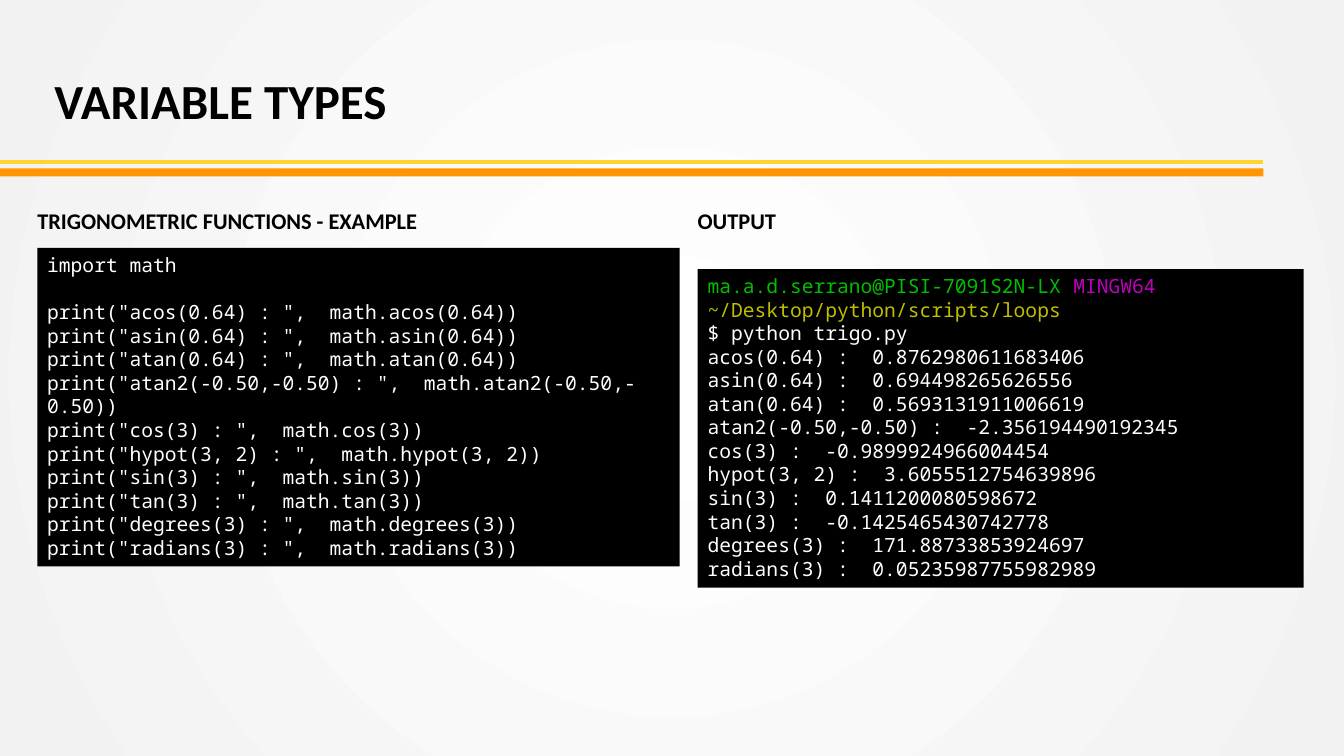
from lxml import etree
from pptx import Presentation
from pptx.dml.color import RGBColor
from pptx.enum.shapes import MSO_CONNECTOR as Connector, MSO_SHAPE as Shape
from pptx.enum.text import MSO_ANCHOR as Anchor, MSO_AUTO_SIZE as AutoSize, PP_ALIGN as Align
from pptx.oxml.ns import qn
from pptx.util import Inches, Pt

BLACK, WHITE = "000000", "FFFFFF"
GREEN, PURPLE, OLIVE = "00BF00", "BF00BF", "BFBF00"
YELLOW, ORANGE, PALE_GREY = "FFD42E", "FF9500", "F2F2F2"


def rgb(hex_color):
    return RGBColor.from_string(hex_color)


class SlideBuilder:
    heading_font = "Calibri"
    code_font = "Noto Sans Mono"
    heading_margins = (0, 0, 0, 0.05)
    code_margins = (0.1, 0.05, 0.1, 0.05)

    def __init__(self, slide):
        self.slide = slide

    def background(self, stops):
        fill = self.slide.background.fill
        fill.gradient()
        for stop, (position, color) in zip(fill.gradient_stops, stops):
            stop.position = position
            stop.color.rgb = rgb(color)
        # Turn the linear gradient into a circular one around the centre
        gradient = self.slide.element.find(".//" + qn("a:gradFill"))
        for linear in gradient.findall(qn("a:lin")):
            gradient.remove(linear)
        circle = etree.SubElement(gradient, qn("a:path"), {"path": "circle"})
        etree.SubElement(circle, qn("a:fillToRect"), {side: "50000" for side in "ltrb"})

    def frame(self, shape, margins):
        left, top, right, bottom = map(Inches, margins)
        settings = {
            "margin_left": left, "margin_top": top,
            "margin_right": right, "margin_bottom": bottom,
            "word_wrap": True, "vertical_anchor": Anchor.TOP,
            "auto_size": AutoSize.SHAPE_TO_FIT_TEXT,
        }
        for name, value in settings.items():
            setattr(shape.text_frame, name, value)
        return shape.text_frame

    def run(self, paragraph, text, color, **font_format):
        run = paragraph.add_run()
        run.text = text
        run.font.color.rgb = rgb(color)
        for name, value in font_format.items():
            setattr(run.font, name, value)

    def write_heading(self, shape, text, size, align):
        paragraph = self.frame(shape, self.heading_margins).paragraphs[0]
        paragraph.alignment = align
        self.run(paragraph, text, BLACK, name=self.heading_font, size=Pt(size), bold=True)

    def title(self, text, left, top, width, height):
        title = self.slide.shapes.title
        box = {"left": left, "top": top, "width": width, "height": height}
        for name, value in box.items():
            setattr(title, name, Inches(value))
        self.write_heading(title, text, 35, Align.LEFT)

    def heading(self, text, *box):
        label = self.slide.shapes.add_textbox(*map(Inches, box))
        self.write_heading(label, text, 16, Align.JUSTIFY)

    def rule(self, left, right, y, color, width):
        rule = self.slide.shapes.add_connector(
            Connector.STRAIGHT, Inches(left), Inches(y), Inches(right), Inches(y))
        rule.line.color.rgb = rgb(color)
        rule.line.width = Pt(width)
        etree.SubElement(rule.element.spPr, qn("a:effectLst"))

    def block(self, color, *box):
        block = self.slide.shapes.add_shape(Shape.RECTANGLE, *map(Inches, box))
        block.shadow.inherit = False
        block.fill.solid()
        block.fill.fore_color.rgb = rgb(color)
        block.line.fill.background()
        return block

    def code(self, lines, *box, gap_after_first=0):
        """Each line is a list of (text, color) pieces."""
        frame = self.frame(self.block(BLACK, *box), self.code_margins)
        for index, pieces in enumerate(lines):
            paragraph = frame.add_paragraph() if index else frame.paragraphs[0]
            paragraph.alignment = Align.LEFT
            for text, color in pieces:
                self.run(paragraph, text, color, name=self.code_font, size=Pt(14))
        frame.paragraphs[0].space_after = Pt(gap_after_first)


def main():
    deck = Presentation()
    deck.slide_width, deck.slide_height = Inches(13.33), Inches(7.5)
    builder = SlideBuilder(deck.slides.add_slide(deck.slide_layouts[5]))

    # Background, title and double rule
    builder.background([(0.02, WHITE), (1, PALE_GREY)])
    builder.title("VARIABLE TYPES", 0.54, 0.7, 7.87, 0.64)
    builder.rule(0, 12.53, 1.61, YELLOW, 3)
    builder.block(ORANGE, 0, 1.67, 12.53, 0.08)

    # Each call with the value it prints
    results = {
        "acos(0.64)": "0.8762980611683406",
        "asin(0.64)": "0.694498265626556",
        "atan(0.64)": "0.5693131911006619",
        "atan2(-0.50,-0.50)": "-2.356194490192345",
        "cos(3)": "-0.9899924966004454",
        "hypot(3, 2)": "3.6055512754639896",
        "sin(3)": "0.1411200080598672",
        "tan(3)": "-0.1425465430742778",
        "degrees(3)": "171.88733853924697",
        "radians(3)": "0.05235987755982989",
    }
    source = [[("import math", WHITE)]]
    source += [[(f'print("{call} : ",  math.{call})', WHITE)] for call in results]
    prompt = [("ma.a.d.serrano@PISI-7091S2N-LX ", GREEN), ("MINGW64 ", PURPLE),
              ("~/Desktop/python/scripts/loops", OLIVE)]
    output = [prompt, [("$ python trigo.py", WHITE)]]
    output += [[(f"{call} :  {value}", WHITE)] for call, value in results.items()]

    # Source on the left, output on the right
    source_left, output_left = 0.37, 6.92
    builder.heading("TRIGONOMETRIC FUNCTIONS - EXAMPLE", source_left, 2.05, 5.67, 0.32)
    builder.code(source, source_left, 2.46, 6.37, 3.16, gap_after_first=17)
    builder.heading("OUTPUT", output_left, 2.05, 5.67, 0.32)
    builder.code(output, output_left, 2.67, 6.01, 3.16)

    deck.save("out.pptx")


if __name__ == "__main__":
    main()
